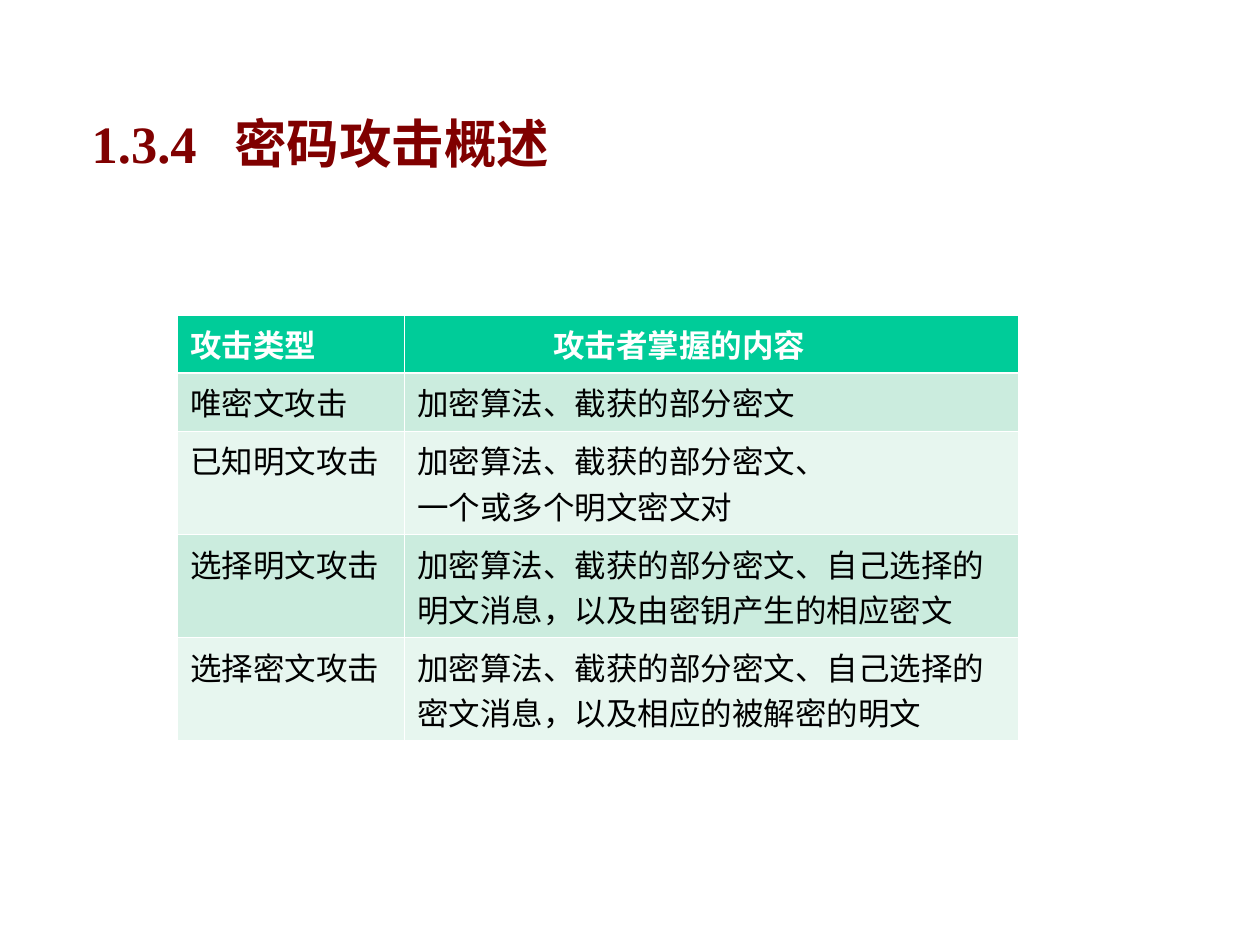
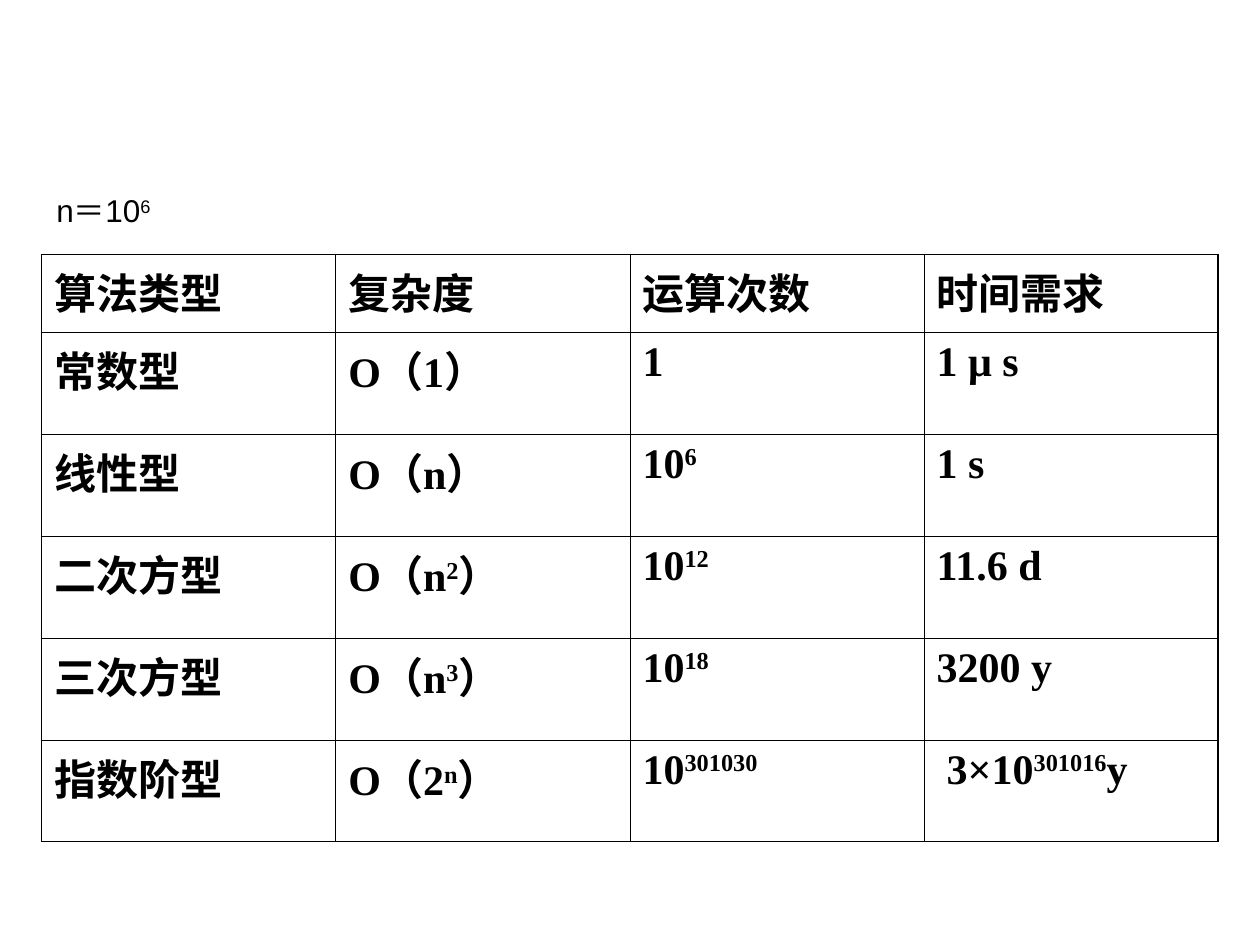
from lxml import etree
from pptx import Presentation
from pptx import util as u
from pptx.dml.color import RGBColor
from pptx.enum import lang, text
from pptx.oxml import ns

MAROON = RGBColor(0x80, 0x00, 0x00)
GREEN = RGBColor(0x00, 0xCC, 0x99)
MINT = RGBColor(0xCB, 0xEC, 0xDE)
PALE_MINT = RGBColor(0xE7, 0xF6, 0xEF)
WHITE = RGBColor(0xFF, 0xFF, 0xFF)
BLACK = RGBColor(0x00, 0x00, 0x00)
SERIF, SANS = "Times New Roman", "Arial"
THIN, OUTER, HEADER_RULE = 0.45, 1.08, 1.47


def write(frame, marked, size, colour, bold=False, font=SERIF):
    """Carets enclose superscripts; line breaks separate paragraphs."""
    for index, line in enumerate(marked.split("\n")):
        paragraph = frame.paragraphs[0] if index == 0 else frame.add_paragraph()
        for part, words in enumerate(line.split("^")):
            if not words:
                continue
            run = paragraph.add_run()
            run.text = words
            run.font.size = u.Pt(size)
            run.font.name = font
            run.font.bold = bold
            run.font.color.rgb = colour
            run.font.language_id = lang.MSO_LANGUAGE_ID.SIMPLIFIED_CHINESE
            if part % 2:
                run.font._element.set("baseline", "30000")


def add_grid(slide, left, top, widths, heights, border, edge, header_rule):
    grid = slide.shapes.add_table(
        len(heights), len(widths), u.Inches(left), u.Inches(top),
        u.Inches(sum(widths)), u.Inches(sum(heights))).table
    grid.first_row = grid.horz_banding = False
    for column, width in zip(grid.columns, widths):
        column.width = u.Inches(width)
    last_row, last_column = len(heights) - 1, len(widths) - 1
    for r, height in enumerate(heights):
        grid.rows[r].height = u.Inches(height)
        for c in range(len(widths)):
            weights = {
                "lnL": edge if c == 0 else THIN,
                "lnR": edge if c == last_column else THIN,
                "lnT": edge if r == 0 else header_rule if r == 1 else THIN,
                "lnB": edge if r == last_row else header_rule if r == 0 else THIN,
            }
            properties = grid.cell(r, c)._tc.get_or_add_tcPr()
            for side, weight in weights.items():
                line = etree.SubElement(properties, ns.qn("a:" + side), w=str(u.Pt(weight)))
                fill = etree.SubElement(line, ns.qn("a:solidFill"))
                etree.SubElement(fill, ns.qn("a:srgbClr"), val=str(border))
    return grid


deck = Presentation()
deck.slide_width, deck.slide_height = u.Inches(10), u.Inches(7.5)
blank = deck.slide_layouts[6]

attacks = deck.slides.add_slide(blank)
heading = attacks.shapes.add_textbox(
    u.Inches(0.63), u.Inches(0.63), u.Inches(8.83), u.Inches(0.75)).text_frame
heading.word_wrap = True
heading.vertical_anchor = text.MSO_ANCHOR.MIDDLE
heading.paragraphs[0].line_spacing = 1.5
tabs = etree.SubElement(heading.paragraphs[0]._p.get_or_add_pPr(), ns.qn("a:tabLst"))
etree.SubElement(tabs, ns.qn("a:tab"), pos=str(u.Inches(1.13)), algn="l")
write(heading, "1.3.4\t密码攻击概述", 30, MAROON, True)

attack_rows = [
    ("攻击类型", "攻击者掌握的内容"),
    ("唯密文攻击", "加密算法、截获的部分密文"),
    ("已知明文攻击", "加密算法、截获的部分密文、\n一个或多个明文密文对"),
    ("选择明文攻击", "加密算法、截获的部分密文、自己选择的明文消息，以及由密钥产生的相应密文"),
    ("选择密文攻击", "加密算法、截获的部分密文、自己选择的密文消息，以及相应的被解密的明文"),
]
attack_grid = add_grid(attacks, 1.41, 2.5, [1.8, 4.87], [0.46] * 2 + [0.82] * 3,
                       WHITE, THIN, HEADER_RULE)
for r, row in enumerate(attack_rows):
    for c, words in enumerate(row):
        cell = attack_grid.cell(r, c)
        cell.fill.solid()
        cell.fill.fore_color.rgb = GREEN if r == 0 else MINT if r % 2 else PALE_MINT
        write(cell.text_frame, words, 18, WHITE if r == 0 else BLACK, r == 0)
attack_grid.cell(0, 1).margin_left = u.Inches(1.18)

complexity = deck.slides.add_slide(blank)
complexity_rows = [
    ("算法类型", "复杂度", "运算次数", "时间需求"),
    ("常数型", "O（1）", "1", "1 μ s"),
    ("线性型", "O（n）", "10^6^", "1 s"),
    ("二次方型", "O（n^2^）", "10^12^", "11.6 d"),
    ("三次方型", "O（n^3^）", "10^18^", "3200 y"),
    ("指数阶型", "O（2^n^）", "10^301030^", "3×10^301016^y"),
]
complexity_grid = add_grid(complexity, 0.33, 2.02, [2.335] * 4, [0.62] + [0.81] * 4 + [0.8],
                           BLACK, OUTER, THIN)
for r, row in enumerate(complexity_rows):
    for c, words in enumerate(row):
        cell = complexity_grid.cell(r, c)
        cell.fill.background()
        write(cell.text_frame, words, 24, BLACK, True)
complexity_grid.cell(5, 3).margin_left = u.Inches(0.18)

input_size = complexity.shapes.add_textbox(
    u.Inches(0.35), u.Inches(1.47), u.Inches(2.07), u.Inches(0.4)).text_frame
input_size.word_wrap = True
input_size.auto_size = text.MSO_AUTO_SIZE.SHAPE_TO_FIT_TEXT
write(input_size, "n＝10^6^", 18, BLACK, font=SANS)

deck.save("out.pptx")
